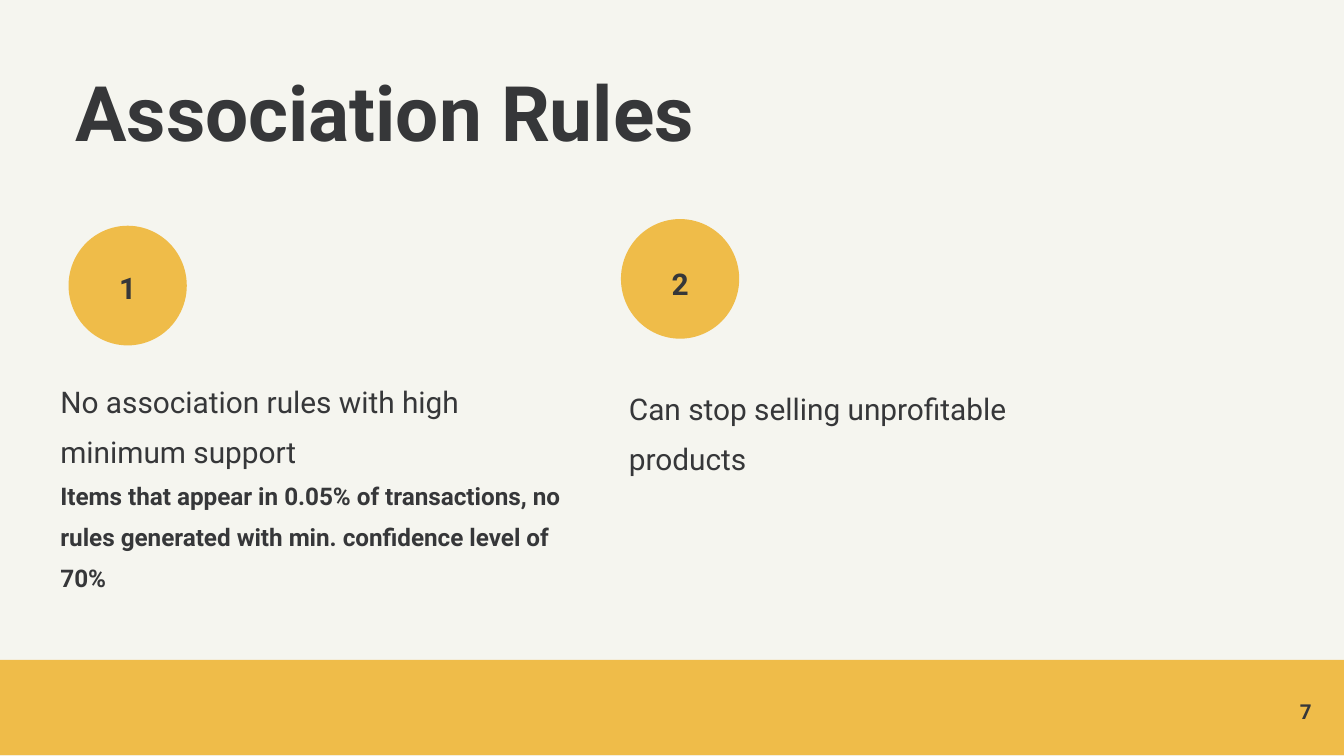
from pptx import Presentation
from pptx.dml.color import RGBColor
from pptx.enum.shapes import MSO_SHAPE as Shape
from pptx.enum.text import MSO_ANCHOR as Anchor, MSO_AUTO_SIZE as AutoSize, PP_ALIGN as Align
from pptx.util import Inches, Pt

CREAM, AMBER, CHARCOAL = "F5F5EF", "EFBC49", "363739"
TITLE_ONLY = 5


def color(hex_string):
    return RGBColor.from_string(hex_string)


def write(frame, lines, size=16, bold=False, align=Align.LEFT, spacing=1.0, anchor=Anchor.TOP):
    """Fill a frame with one paragraph of broken lines; a line is text or (text, size, bold)."""
    frame.word_wrap = True
    frame.auto_size = AutoSize.NONE
    frame.vertical_anchor = anchor
    frame.margin_left = frame.margin_right = frame.margin_top = frame.margin_bottom = 0
    paragraph = frame.paragraphs[0]
    paragraph.alignment = align
    paragraph.line_spacing = spacing
    paragraph.space_before = paragraph.space_after = Pt(0)
    for index, line in enumerate(lines):
        text, line_size, line_bold = (line, size, bold) if isinstance(line, str) else line
        if index:
            paragraph.add_line_break()
        run = paragraph.add_run()
        run.text = text
        run.font.name = "Roboto"
        run.font.size = Pt(line_size)
        run.font.bold = line_bold
        run.font.color.rgb = color(CHARCOAL)


class SlideBuilder:
    def __init__(self, presentation):
        self.slide = presentation.slides.add_slide(presentation.slide_layouts[TITLE_ONLY])
        background = self.slide.background.fill
        background.solid()
        background.fore_color.rgb = color(CREAM)

    def title(self, text, left, top, width, height):
        shape = self.slide.shapes.title
        shape.left, shape.top = Inches(left), Inches(top)
        shape.width, shape.height = Inches(width), Inches(height)
        write(shape.text_frame, [text], size=41, bold=True, spacing=0.9)

    def text(self, lines, left, top, width, height, **style):
        box = self.slide.shapes.add_textbox(
            Inches(left), Inches(top), Inches(width), Inches(height))
        write(box.text_frame, lines, **style)

    def filled(self, kind, left, top, width, height):
        shape = self.slide.shapes.add_shape(
            kind, Inches(left), Inches(top), Inches(width), Inches(height))
        shape.shadow.inherit = False
        shape.fill.solid()
        shape.fill.fore_color.rgb = color(AMBER)
        shape.line.fill.background()

    def badge(self, number, left, top, number_top):
        self.filled(Shape.OVAL, left, top, 0.88, 0.89)
        self.text([number], left + 0.23, number_top, 0.42, 0.27,
                  bold=True, align=Align.CENTER, spacing=1.25)


def main():
    presentation = Presentation()
    # Widescreen, 16:9
    presentation.slide_width = Inches(10)
    presentation.slide_height = Inches(10) * 9 // 16
    builder = SlideBuilder(presentation)

    builder.title("Association Rules", 0.56, 0.56, 7.09, 0.79)

    # Numbered findings
    builder.badge("2", 4.62, 1.63, 1.91)
    builder.badge("1", 0.51, 1.68, 1.94)
    detail = ("Items that appear in 0.05% of transactions, no rules generated "
              "with min. confidence level of 70%")
    builder.text(["No association rules with high minimum support", (detail, 13, True)],
                 0.45, 2.75, 3.94, 1.53, spacing=1.4)
    builder.text(["Can stop selling unprofitable products"],
                 4.68, 2.8, 3.46, 1.53, spacing=1.4)

    # Footer band and page number
    builder.filled(Shape.RECTANGLE, 0, 4.91, 10, 0.71)
    builder.text(["7"], 9.16, 5.19, 0.6, 0.2,
                 size=11, bold=True, align=Align.RIGHT, anchor=Anchor.MIDDLE)

    presentation.save("out.pptx")


if __name__ == "__main__":
    main()
